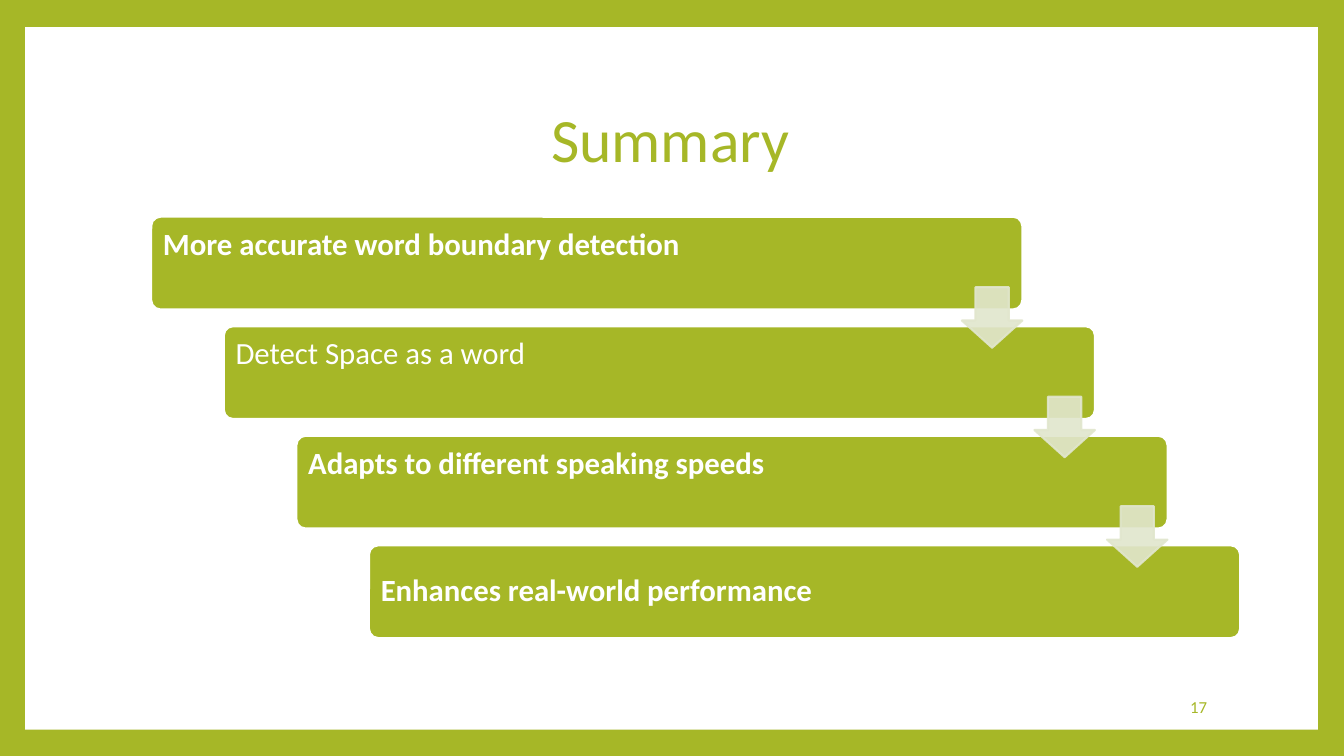
from pptx import Presentation
from pptx.dml.color import RGBColor
from pptx.enum.shapes import MSO_SHAPE
from pptx.enum.text import MSO_ANCHOR, PP_ALIGN
from pptx.oxml.ns import qn
from pptx.util import Inches, Pt
from lxml import etree

RECT, ROUND, ARROW = MSO_SHAPE.RECTANGLE, MSO_SHAPE.ROUNDED_RECTANGLE, MSO_SHAPE.DOWN_ARROW
TOP, MIDDLE = MSO_ANCHOR.TOP, MSO_ANCHOR.MIDDLE
LEFT, CENTER, RIGHT = PP_ALIGN.LEFT, PP_ALIGN.CENTER, PP_ALIGN.RIGHT

GREEN, WHITE, PALE = "A6B727", "FFFFFF", "E1E6CD"
FONT = "Calibri"

# Staircase grid, in inches
STEPS = [
    ("More accurate word boundary detection", True, TOP),
    ("Detect Space as a word", False, TOP),
    ("Adapts to different speaking speeds", True, TOP),
    ("Enhances real-world performance", True, MIDDLE),
]
STAIR_LEFT, STAIR_TOP, STAIR_BOTTOM = 1.5, 2.15, 6.33
BAR_W, BAR_H, STEP_X = 8.64, 0.92, 0.72
STEP_Y = (STAIR_BOTTOM - BAR_H - STAIR_TOP) / (len(STEPS) - 1)
ARROW_SIZE, ARROW_DROP = 0.6, 0.7


def color(value):
    return RGBColor.from_string(value)


def add_shape(s, kind, box, fill, line=None, adjustments=()):
    sp = s.shapes.add_shape(kind, *map(Inches, box))
    sp.shadow.inherit = False
    sp.fill.solid()
    sp.fill.fore_color.rgb = color(fill)
    if line:
        sp.line.color.rgb = color(line)
        sp.line.width = Pt(1.5)
    else:
        sp.line.fill.background()
    for i, value in enumerate(adjustments):
        sp.adjustments[i] = value
    return sp


def set_text(sp, text, size, hue, align, anchor, bold=False, spacing=1.0):
    tf = sp.text_frame
    tf.word_wrap = True
    tf.vertical_anchor = anchor
    tf.text = text
    p = tf.paragraphs[0]
    p.alignment = align
    p.line_spacing = spacing
    font = p.runs[0].font
    font.name, font.size, font.bold = FONT, Pt(size), bold
    font.color.rgb = color(hue)
    return tf


def add_label(s, box, *text_style, **options):
    sp = s.shapes.add_textbox(*map(Inches, box))
    set_text(sp, *text_style, **options)


def add_bar(s, left, top, text, bold, anchor):
    sp = add_shape(s, ROUND, (left, top, BAR_W, BAR_H), GREEN, WHITE, [0.1])
    tf = set_text(sp, text, 22, WHITE, LEFT, anchor, bold, 0.9)
    tf.margin_left = tf.margin_right = tf.margin_top = tf.margin_bottom = Inches(0.09)


def add_arrow(s, left, top):
    sp = add_shape(s, ARROW, (left, top, ARROW_SIZE, ARROW_SIZE), PALE, PALE, [0.55, 0.45])
    # Fill and outline are 90% opaque
    for clr in sp.element.spPr.iter(qn("a:srgbClr")):
        etree.SubElement(clr, qn("a:alpha")).set("val", "90000")


def main():
    prs = Presentation()
    prs.slide_width, prs.slide_height = Inches(13.33), Inches(7.5)
    s = prs.slides.add_slide(prs.slide_layouts[6])

    # Green frame around a white panel
    s.background.fill.solid()
    s.background.fill.fore_color.rgb = color(GREEN)
    add_shape(s, RECT, (0.25, 0.27, 12.82, 6.97), WHITE)

    add_label(s, (1.25, 0.67, 10.8, 1.48), "Summary", 44, GREEN, CENTER, MIDDLE, spacing=0.9)

    # Bars first, then the arrows that overlap them
    corners = [(STAIR_LEFT + i * STEP_X, STAIR_TOP + i * STEP_Y) for i in range(len(STEPS))]
    for (left, top), step in zip(corners, STEPS):
        add_bar(s, left, top, *step)
    for left, top in corners[:-1]:
        add_arrow(s, left + BAR_W - ARROW_SIZE, top + ARROW_DROP)

    # Slide number
    add_label(s, (10.2, 6.81, 1.87, 0.4), "17", 12, GREEN, RIGHT, MIDDLE)

    prs.save("out.pptx")


if __name__ == "__main__":
    main()
